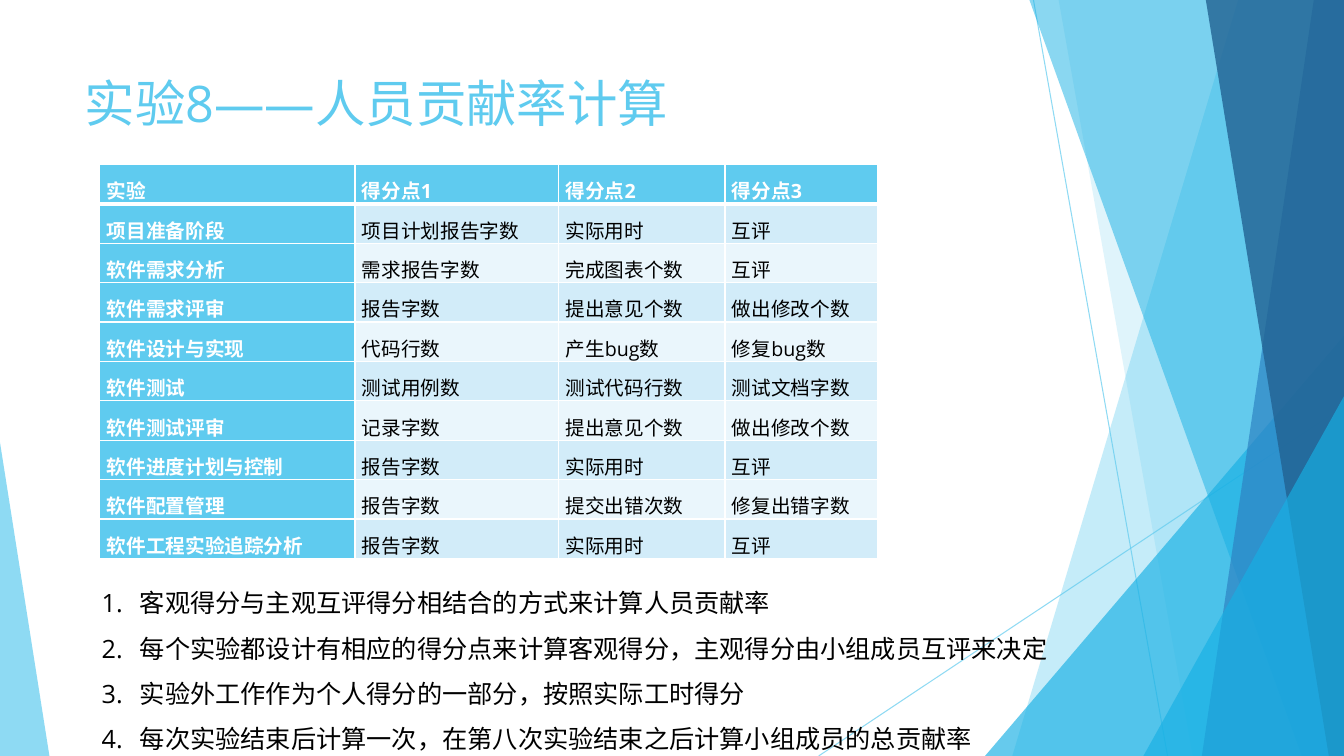
from lxml import etree
from pptx import Presentation
from pptx.dml.color import RGBColor
from pptx.enum.shapes import MSO_CONNECTOR, MSO_SHAPE
from pptx.enum.text import MSO_ANCHOR, MSO_AUTO_SIZE, PP_ALIGN
from pptx.oxml.ns import qn
from pptx.util import Inches, Pt

FONT = "Open Sans"
WIDTH, HEIGHT = 13.33, 7.5
COLORS = {
    "sky": "5FCBEF", "cyan": "17B0E4", "blue": "2E83C3", "navy": "226292",
    "band_dark": "D2ECF9", "band_light": "EAF6FC",
    "white": "FFFFFF", "black": "000000",
}
TITLE = "实验8——人员贡献率计算"
SCORE_ROWS = [
    ("实验", "得分点1", "得分点2", "得分点3"),
    ("项目准备阶段", "项目计划报告字数", "实际用时", "互评"),
    ("软件需求分析", "需求报告字数", "完成图表个数", "互评"),
    ("软件需求评审", "报告字数", "提出意见个数", "做出修改个数"),
    ("软件设计与实现", "代码行数", "产生bug数", "修复bug数"),
    ("软件测试", "测试用例数", "测试代码行数", "测试文档字数"),
    ("软件测试评审", "记录字数", "提出意见个数", "做出修改个数"),
    ("软件进度计划与控制", "报告字数", "实际用时", "互评"),
    ("软件配置管理", "报告字数", "提交出错次数", "修复出错字数"),
    ("软件工程实验追踪分析", "报告字数", "实际用时", "互评"),
]
RULES = [
    "客观得分与主观互评得分相结合的方式来计算人员贡献率",
    "每个实验都设计有相应的得分点来计算客观得分，主观得分由小组成员互评来决定",
    "实验外工作作为个人得分的一部分，按照实际工时得分",
    "每次实验结束后计算一次，在第八次实验结束之后计算小组成员的总贡献率",
]


def rgb(name):
    return RGBColor.from_string(COLORS[name])


def set_alpha(fill_parent, percent):
    color = next(fill_parent.iter(qn("a:srgbClr")))
    etree.SubElement(color, qn("a:alpha")).set("val", str(percent * 1000))


def add_run(paragraph, text, size, color, bold=False):
    run = paragraph.add_run()
    run.text = text
    run.font.size, run.font.name, run.font.bold = Pt(size), FONT, bold
    run.font.color.rgb = rgb(color)
    etree.SubElement(run.font._element, qn("a:ea")).set("typeface", FONT)


def paint(shape, color, opacity):
    shape.shadow.inherit = False
    shape.fill.solid()
    shape.fill.fore_color.rgb = rgb(color)
    set_alpha(shape._element.spPr, opacity)
    shape.line.fill.background()


def add_facets(slide, box):
    """Translucent facets along the right edge and the lower left corner."""
    left, top, width, height = box
    right, bottom = left + width, top + height

    def ray(x1, y1, x2, y2):
        line = slide.shapes.add_connector(
            MSO_CONNECTOR.STRAIGHT, Inches(x1), Inches(y1), Inches(x2), Inches(y2))
        line.line.color.rgb = rgb("sky")
        line.line.width = Pt(0.75)
        set_alpha(line._element.spPr, 70)
        etree.SubElement(line._element.spPr, qn("a:effectLst"))

    def pane(top_x, bottom_x, color, opacity):
        builder = slide.shapes.build_freeform(Inches(top_x), Inches(top))
        corners = [(right, top), (right, bottom), (bottom_x, bottom)]
        builder.add_line_segments([(Inches(x), Inches(y)) for x, y in corners])
        paint(builder.convert_to_shape(), color, opacity)

    def wedge(x, w, h, apex, color, opacity):
        shape = slide.shapes.add_shape(
            MSO_SHAPE.ISOSCELES_TRIANGLE,
            Inches(x), Inches(bottom - h), Inches(w), Inches(h))
        shape.adjustments[0] = apex
        paint(shape, color, opacity)

    ray(left + 10.25, top, left + 11.58, bottom)
    ray(right, top + 4.03, left + 8.12, bottom)
    pane(left + 12.28, left + 10.04, "sky", 36)
    pane(left + 10.5, left + 11.83, "sky", 20)
    wedge(right - 3.56, 3.56, 4.17, 1, "cyan", 66)
    pane(left + 10.21, left + 12.91, "cyan", 50)
    pane(left + 13.03, left + 11.92, "blue", 70)
    pane(left + 11.96, left + 13.18, "navy", 80)
    wedge(right - 1.99, 1.99, 3.57, 1, "cyan", 66)
    wedge(left, 0.49, 3.11, 0, "sky", 70)


def place_title(slide, box):
    title = slide.shapes.title
    title.left, title.top, title.width, title.height = map(Inches, box)
    frame = title.text_frame
    frame.word_wrap = True
    frame.auto_size = MSO_AUTO_SIZE.NONE
    frame.vertical_anchor = MSO_ANCHOR.TOP
    frame.paragraphs[0].alignment = PP_ALIGN.LEFT
    add_run(frame.paragraphs[0], TITLE, 36, "sky")
    slide.shapes._spTree.append(title._element)  # bring in front of the facets


def set_borders(cell, widths):
    """Draw white borders; they must precede the fill in the cell properties."""
    properties = cell._tc.get_or_add_tcPr()
    for index, (side, points) in enumerate(widths.items()):
        line = etree.Element(qn("a:ln" + side), w=str(Pt(points)))
        fill = etree.SubElement(line, qn("a:solidFill"))
        etree.SubElement(fill, qn("a:srgbClr")).set("val", COLORS["white"])
        properties.insert(index, line)


def add_score_table(slide, box, column_widths):
    table = slide.shapes.add_table(
        len(SCORE_ROWS), len(column_widths), *map(Inches, box)).table
    for column, width in zip(table.columns, column_widths):
        column.width = Inches(width)
    for r, texts in enumerate(SCORE_ROWS):
        table.rows[r].height = Inches(box[3] / len(SCORE_ROWS))
        for c, text in enumerate(texts):
            cell = table.cell(r, c)
            heading = r == 0 or c == 0
            band = "band_dark" if r % 2 else "band_light"
            cell.fill.solid()
            cell.fill.fore_color.rgb = rgb("sky" if heading else band)
            cell.margin_left = cell.margin_right = Inches(0.07)
            cell.margin_top = cell.margin_bottom = 0
            set_borders(cell, {"L": 1, "R": 1, "T": 3 if r == 1 else 1,
                               "B": 3 if r == 0 else 1})
            paragraph = cell.text_frame.paragraphs[0]
            paragraph.alignment = PP_ALIGN.JUSTIFY
            paragraph.line_spacing = 1.5
            add_run(paragraph, text, 14, "white" if heading else "black", heading)


def add_rules(slide, box):
    frame = slide.shapes.add_textbox(*map(Inches, box)).text_frame
    frame.word_wrap = True
    for index, rule in enumerate(RULES):
        paragraph = frame.add_paragraph() if index else frame.paragraphs[0]
        paragraph.line_spacing = 1.5
        properties = paragraph._p.get_or_add_pPr()
        properties.set("marL", str(Inches(0.38)))
        properties.set("indent", str(-Inches(0.38)))
        etree.SubElement(properties, qn("a:buFont")).set("typeface", "+mj-lt")
        etree.SubElement(properties, qn("a:buAutoNum")).set("type", "arabicPeriod")
        add_run(paragraph, rule, 18, "black")


def build_contribution_slide(deck):
    slide = deck.slides.add_slide(deck.slide_layouts[5])
    add_facets(slide, (0, 0, WIDTH, HEIGHT))
    place_title(slide, (0.74, 0.67, 9.4, 1.44))
    add_rules(slide, (0.91, 5.63, 11, 1.87))
    add_score_table(slide, (0.99, 1.63, 7.71, 3.91), (2.53, 2.02, 1.65, 1.51))


deck = Presentation()
deck.slide_width, deck.slide_height = Inches(WIDTH), Inches(HEIGHT)
build_contribution_slide(deck)
deck.save("out.pptx")
